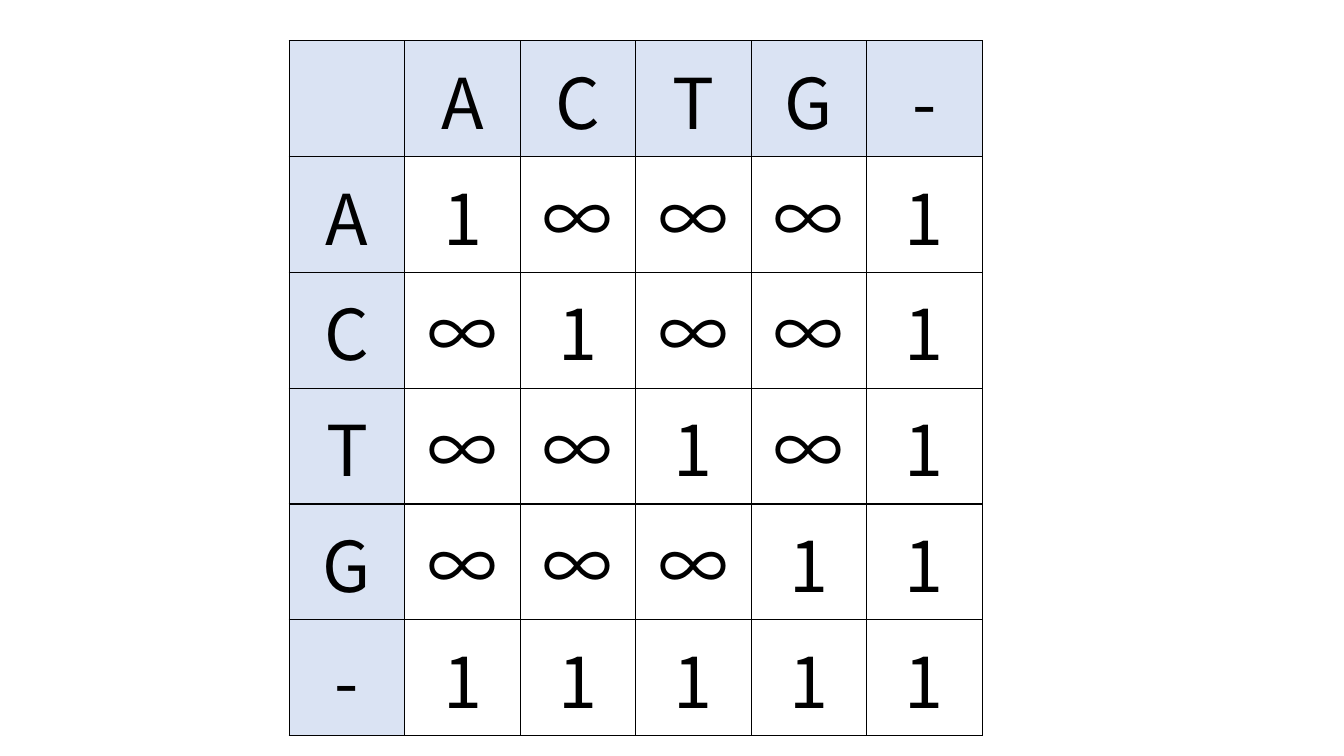
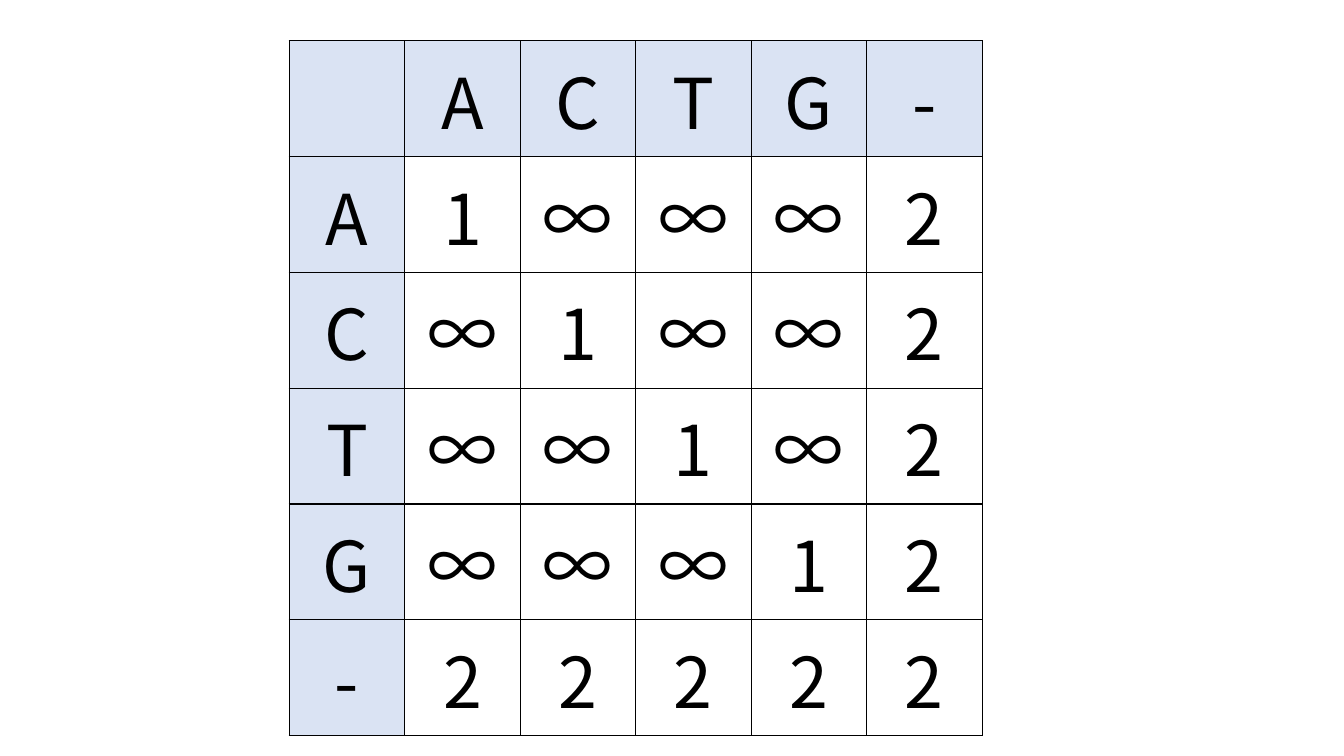
from lxml import etree
from pptx import Presentation
from pptx.dml.color import RGBColor
from pptx.enum.text import MSO_ANCHOR, PP_ALIGN
from pptx.oxml.ns import qn
from pptx.util import Cm, Pt

CENTER = PP_ALIGN.CENTER
MIDDLE = MSO_ANCHOR.MIDDLE
BLACK = RGBColor(0x00, 0x00, 0x00)
PALE_BLUE = RGBColor(0xDA, 0xE3, 0xF3)
FONT = "Noto Sans CJK JP"
SYMBOLS = "ACTG-"
GAP = "-"
BLANK_LAYOUT = 6


class CostDeck:
    """Slides of substitution cost tables in one shared style."""

    def __init__(self):
        self.deck = Presentation()
        self.deck.slide_width = Cm(33.87)
        self.deck.slide_height = Cm(19.05)
        self.slide = None

    def add_slide(self):
        layout = self.deck.slide_layouts[BLANK_LAYOUT]
        self.slide = self.deck.slides.add_slide(layout)

    def add_matrix(self, rows, left, top, pitch):
        count = len(rows)
        side = pitch * count
        matrix = self.slide.shapes.add_table(count, count, left, top, side, side).table
        matrix.first_row = False
        matrix.horz_banding = False
        for column in matrix.columns:
            column.width = pitch
        for row in matrix.rows:
            row.height = pitch
        for row_index, labels in enumerate(rows):
            for column_index, label in enumerate(labels):
                is_header = 0 in (row_index, column_index)
                self.format_cell(matrix.cell(row_index, column_index), label, is_header)

    def format_cell(self, cell, label, is_header):
        cell.margin_left = cell.margin_right = Cm(0.36)
        cell.margin_top = cell.margin_bottom = Cm(0.18)
        cell.vertical_anchor = MIDDLE
        self.draw_borders(cell)
        if is_header:
            cell.fill.solid()
            cell.fill.fore_color.rgb = PALE_BLUE
        else:
            cell.fill.background()
        if label:
            self.set_label(cell, label)

    def draw_borders(self, cell):
        properties = cell._tc.get_or_add_tcPr()
        for side in ("a:lnL", "a:lnR", "a:lnT", "a:lnB"):
            border = etree.SubElement(properties, qn(side), w=str(Pt(1)))
            paint = etree.SubElement(border, qn("a:solidFill"))
            etree.SubElement(paint, qn("a:srgbClr"), val=str(BLACK))

    def set_label(self, cell, label):
        cell.text = label
        paragraph = cell.text_frame.paragraphs[0]
        paragraph.alignment = CENTER
        font = paragraph.font
        font.size = Pt(50)
        font.color.rgb = BLACK
        font.name = FONT
        defaults = paragraph._p.get_or_add_pPr().find(qn("a:defRPr"))
        etree.SubElement(defaults, qn("a:ea"), typeface=FONT)


def cost(source, target, gap_cost):
    if GAP in (source, target):
        return gap_cost
    return "1" if source == target else "∞"


def main():
    costs = CostDeck()
    for gap_cost in ("1", "2"):
        rows = [["", *SYMBOLS]]
        for source in SYMBOLS:
            rows.append([source, *(cost(source, target, gap_cost) for target in SYMBOLS)])
        costs.add_slide()
        costs.add_matrix(rows, Cm(7.29), Cm(1.03), Cm(2.91))
    costs.deck.save("out.pptx")


if __name__ == "__main__":
    main()
